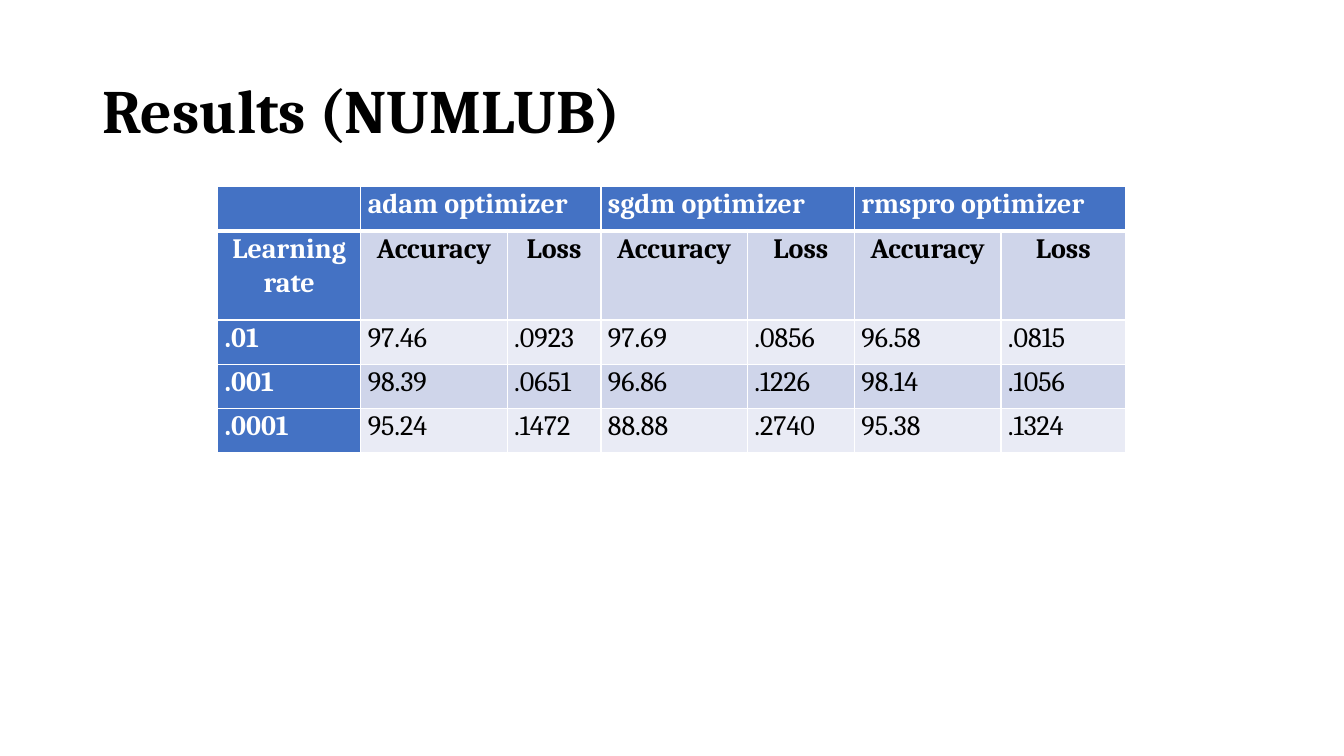
"""Build a slide comparing accuracy and loss of three optimizers."""
from dataclasses import dataclass

from lxml import etree
from pptx import Presentation
from pptx.dml.color import RGBColor
from pptx.enum.text import MSO_ANCHOR, PP_ALIGN
from pptx.oxml.ns import qn
from pptx.util import Pt


@dataclass(frozen=True)
class Theme:
    """Colours, font and type sizes of the slide."""
    font: str = "Cambria"
    title_size: int = 44
    table_size: int = 20
    text: str = "000000"
    inverse: str = "FFFFFF"
    header: str = "4472C4"
    bands: tuple = ("E9EBF5", "CFD5EA")
    border: str = "FFFFFF"


THEME = Theme()
TITLE_BOX = (66, 28.8, 828, 104.4)
TABLE_BOX = (155.5, 133.2, 648.7, 190.2)
COLUMN_WIDTHS = (102.2, 104.6, 67, 104.6, 76.5, 104.6, 89.2)
ROW_HEIGHTS = (31.6, 63.8, 31.6, 31.6, 31.6)
OPTIMIZERS = ("adam optimizer", "sgdm optimizer", "rmspro optimizer")
RESULTS = (
    (".01", "97.46", ".0923", "97.69", ".0856", "96.58", ".0815"),
    (".001", "98.39", ".0651", "96.86", ".1226", "98.14", ".1056"),
    (".0001", "95.24", ".1472", "88.88", ".2740", "95.38", ".1324"),
)


def write(frame, text, size, color, bold, align, spacing):
    """Put one styled paragraph into a text frame."""
    paragraph = frame.paragraphs[0]
    paragraph.alignment = align
    paragraph.line_spacing = spacing
    run = paragraph.add_run()
    run.text = text
    run.font.name = THEME.font
    run.font.size = Pt(size)
    run.font.bold = bold
    run.font.color.rgb = RGBColor.from_string(color)


def add_borders(cell, widths):
    """Draw the cell's left, right, top and bottom lines in the border colour."""
    properties = cell._tc.get_or_add_tcPr()
    for index, (side, width) in enumerate(zip("LRTB", widths)):
        line = etree.Element(qn(f"a:ln{side}"), w=str(Pt(width)))
        fill = etree.SubElement(line, qn("a:solidFill"))
        etree.SubElement(fill, qn("a:srgbClr"), val=THEME.border)
        properties.insert(index, line)


def style_cell(cell, text, row, column):
    """Fill, border and label a cell according to its place in the table."""
    is_header = row == 0 or column == 0
    cell.fill.solid()
    cell.fill.fore_color.rgb = RGBColor.from_string(
        THEME.header if is_header else THEME.bands[row % 2])
    add_borders(cell, (1, 1, 3 if row == 1 else 1, 3 if row == 0 else 1))
    cell.margin_left = cell.margin_right = Pt(5)
    cell.margin_top = cell.margin_bottom = Pt(0)
    if text:
        write(cell.text_frame, text, THEME.table_size,
              THEME.inverse if is_header else THEME.text,
              is_header or row == 1,
              PP_ALIGN.CENTER if row == 1 else PP_ALIGN.LEFT, 1.07)


def add_title(slide, box, text):
    """Place the slide title in its box."""
    frame = slide.shapes.add_textbox(*map(Pt, box)).text_frame
    frame.word_wrap = True
    frame.vertical_anchor = MSO_ANCHOR.MIDDLE
    write(frame, text, THEME.title_size, THEME.text, True, PP_ALIGN.LEFT, 0.9)


def add_results_table(slide, box):
    """Place the table of results per learning rate and optimizer."""
    left, top, width, height = box
    optimizer_row = [""] + [text for name in OPTIMIZERS for text in (name, "")]
    measure_row = ["Learning rate"] + ["Accuracy", "Loss"] * len(OPTIMIZERS)
    rows = [optimizer_row, measure_row, *RESULTS]
    table = slide.shapes.add_table(
        len(rows), len(measure_row), Pt(left), Pt(top), Pt(width), Pt(height)).table
    table.first_row = table.horz_banding = False
    for column, share in zip(table.columns, COLUMN_WIDTHS):
        column.width = Pt(width * share / sum(COLUMN_WIDTHS))
    for row, share in zip(table.rows, ROW_HEIGHTS):
        row.height = Pt(height * share / sum(ROW_HEIGHTS))
    for row, texts in enumerate(rows):
        for column, text in enumerate(texts):
            style_cell(table.cell(row, column), text, row, column)
    for column in range(1, len(measure_row), 2):
        table.cell(0, column).merge(table.cell(0, column + 1))


def main():
    """Build and save the presentation."""
    presentation = Presentation()
    presentation.slide_width, presentation.slide_height = Pt(960), Pt(540)
    slide = presentation.slides.add_slide(presentation.slide_layouts[6])
    add_title(slide, TITLE_BOX, "Results (NUMLUB)")
    add_results_table(slide, TABLE_BOX)
    presentation.save("out.pptx")


main()
